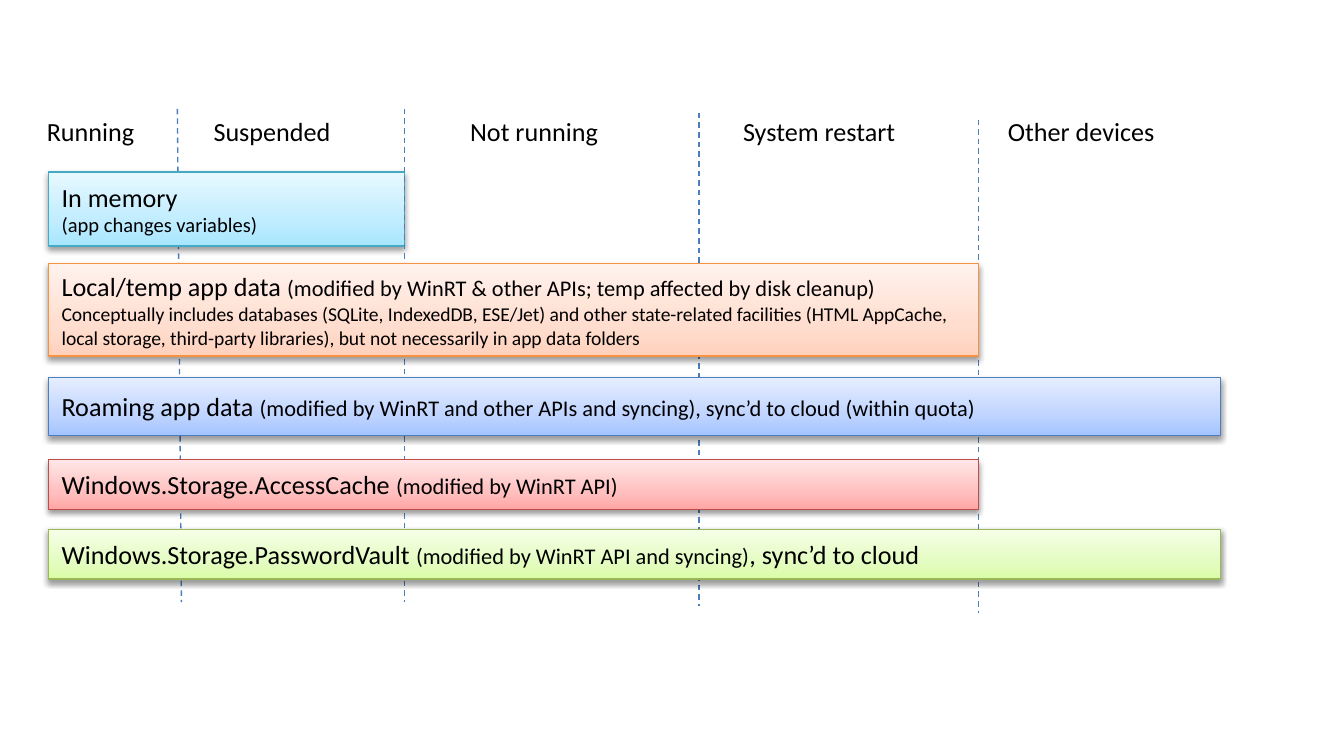
import pptx
import pptx.dml.color
import pptx.enum.dml
import pptx.enum.shapes
import pptx.enum.text
import pptx.oxml
import pptx.oxml.ns
import pptx.util
from pptx.util import Inches, Pt

SLIDE_WIDTH = 10
SLIDE_HEIGHT = SLIDE_WIDTH * 9 / 16
FONT = "Calibri"
LEFT = 0.36
HEAD_TOP, HEAD_HEIGHT = 0.81, 0.34
DIVIDER_LENGTH = 3.67
DIVIDER_COLOR = "4B7EBC"

# Right edges of the bars
SUSPENDED, RESTART, DEVICES = 3.01, 7.28, 9.08

# label, left, width
HEADINGS = [
    ("Running", 0.25, 0.86),
    ("Suspended", 1.49, 1.08),
    ("Not running", 3.4, 1.16),
    ("System restart", 5.43, 1.35),
    ("Other devices", 7.4, 1.31),
]

# top x, bottom x, top y
DIVIDERS = [
    (1.32, 1.35, 0.81),
    (SUSPENDED, SUSPENDED, 0.81),
    (5.2, 5.2, 0.84),
    (RESTART, RESTART, 0.89),
]

# top, height, right edge, gradient from bottom to top, outline, lines of (text, size)
BARS = [
    (1.28, 0.55, SUSPENDED, ("A7E6FF", "C1EDFF", "E7F8FF"), "46AAC5",
     [[("In memory", 14)],
      [("(app changes variables)", 11)]]),
    (1.96, 0.69, RESTART, ("FFD2BD", "FFDED0", "FFF2ED"), "F69240",
     [[("Local/temp app data ", 14),
       ("(modified by WinRT & other APIs; temp affected by disk cleanup)", 12)],
      [("Conceptually includes databases (SQLite, IndexedDB, ESE/Jet) and other "
        "state-related facilities (HTML AppCache, local storage, third-party "
        "libraries), but not necessarily in app data folders", 10.5)]]),
    (2.81, 0.43, DEVICES, ("A4C4FF", "BFD4FF", "E6EEFF"), "4B7EBC",
     [[("Roaming app data ", 14),
       ("(modified by WinRT and other APIs and syncing), "
        "sync’d to cloud (within quota)", 12)]]),
    (3.42, 0.37, RESTART, ("FFA6A5", "FFC0BF", "FFE7E7"), "BF4C48",
     [[("Windows.Storage.AccessCache ", 14), ("(modified by WinRT API)", 12)]]),
    (3.94, 0.37, DEVICES, ("DAFDA7", "E4FCC2", "F5FFE7"), "98B955",
     [[("Windows.Storage.PasswordVault ", 14),
       ("(modified by WinRT API and syncing)", 12),
       (", sync’d to cloud", 14)]]),
]


def rgb(color):
    return pptx.dml.color.RGBColor.from_string(color)


def xml(body):
    """Build one element whose root is in the a: namespace."""
    tag, rest = body.split(" ", 1)
    return pptx.oxml.parse_xml(f"{tag} {pptx.oxml.ns.nsdecls('a')} {rest}")


def set_gradient(s, colors):
    stops = "".join(
        f'<a:gs pos="{pos * 1000}"><a:srgbClr val="{color}"/></a:gs>'
        for pos, color in zip((0, 35, 100), colors))
    s.fill.solid()
    sp_pr = s.element.spPr
    solid = sp_pr.find(pptx.oxml.ns.qn("a:solidFill"))
    sp_pr.replace(solid, xml(
        f'<a:gradFill rotWithShape="1"><a:gsLst>{stops}</a:gsLst>'
        '<a:lin ang="16200000" scaled="1"/></a:gradFill>'))


def set_shadow(s):
    s.shadow.inherit = False
    effects = s.element.spPr.find(pptx.oxml.ns.qn("a:effectLst"))
    effects.append(xml(
        f'<a:outerShdw blurRad="{Pt(3.1)}" dist="{Pt(1.6)}" dir="5400000" '
        'rotWithShape="0"><a:srgbClr val="000000"><a:alpha val="38000"/>'
        '</a:srgbClr></a:outerShdw>'))


def add_heading(shapes, label, left, width):
    s = shapes.add_textbox(*map(Inches, (left, HEAD_TOP, width, HEAD_HEIGHT)))
    tf = s.text_frame
    tf.word_wrap = False
    tf.auto_size = pptx.enum.text.MSO_AUTO_SIZE.SHAPE_TO_FIT_TEXT
    p = tf.paragraphs[0]
    p.text = label
    p.font.name, p.font.size = FONT, Pt(14)
    p.font.color.rgb = rgb("000000")


def add_divider(shapes, x1, x2, top):
    s = shapes.add_connector(
        pptx.enum.shapes.MSO_CONNECTOR.STRAIGHT,
        *map(Inches, (x1, top, x2, top + DIVIDER_LENGTH)))
    s.line.color.rgb = rgb(DIVIDER_COLOR)
    s.line.width = Pt(0.75)
    s.line.dash_style = pptx.enum.dml.MSO_LINE.DASH
    s.element.spPr.append(xml("<a:effectLst />"))


def add_bar(shapes, top, height, right, colors, outline, lines):
    s = shapes.add_shape(
        pptx.enum.shapes.MSO_SHAPE.RECTANGLE,
        *map(Inches, (LEFT, top, right - LEFT, height)))
    set_gradient(s, colors)
    s.line.color.rgb = rgb(outline)
    s.line.width = Pt(0.75)
    set_shadow(s)
    tf = s.text_frame
    tf.word_wrap = True
    tf.vertical_anchor = pptx.enum.text.MSO_ANCHOR.MIDDLE
    p = tf.paragraphs[0]
    p.alignment = pptx.enum.text.PP_ALIGN.LEFT
    p.font.name = FONT
    for i, runs in enumerate(lines):
        if i:
            p.add_line_break()
        for text, size in runs:
            r = p.add_run()
            r.text = text
            r.font.name, r.font.size = FONT, Pt(size)
            r.font.color.rgb = rgb("000000")


def main():
    prs = pptx.Presentation()
    prs.slide_width, prs.slide_height = Inches(SLIDE_WIDTH), Inches(SLIDE_HEIGHT)
    shapes = prs.slides.add_slide(prs.slide_layouts[6]).shapes
    for heading in HEADINGS:
        add_heading(shapes, *heading)
    # The first bar covers only the first divider; the other bars cover them all.
    for part in (slice(0, 1), slice(1, None)):
        for divider in DIVIDERS[part]:
            add_divider(shapes, *divider)
        for bar in BARS[part]:
            add_bar(shapes, *bar)
    prs.save("out.pptx")


if __name__ == "__main__":
    main()
